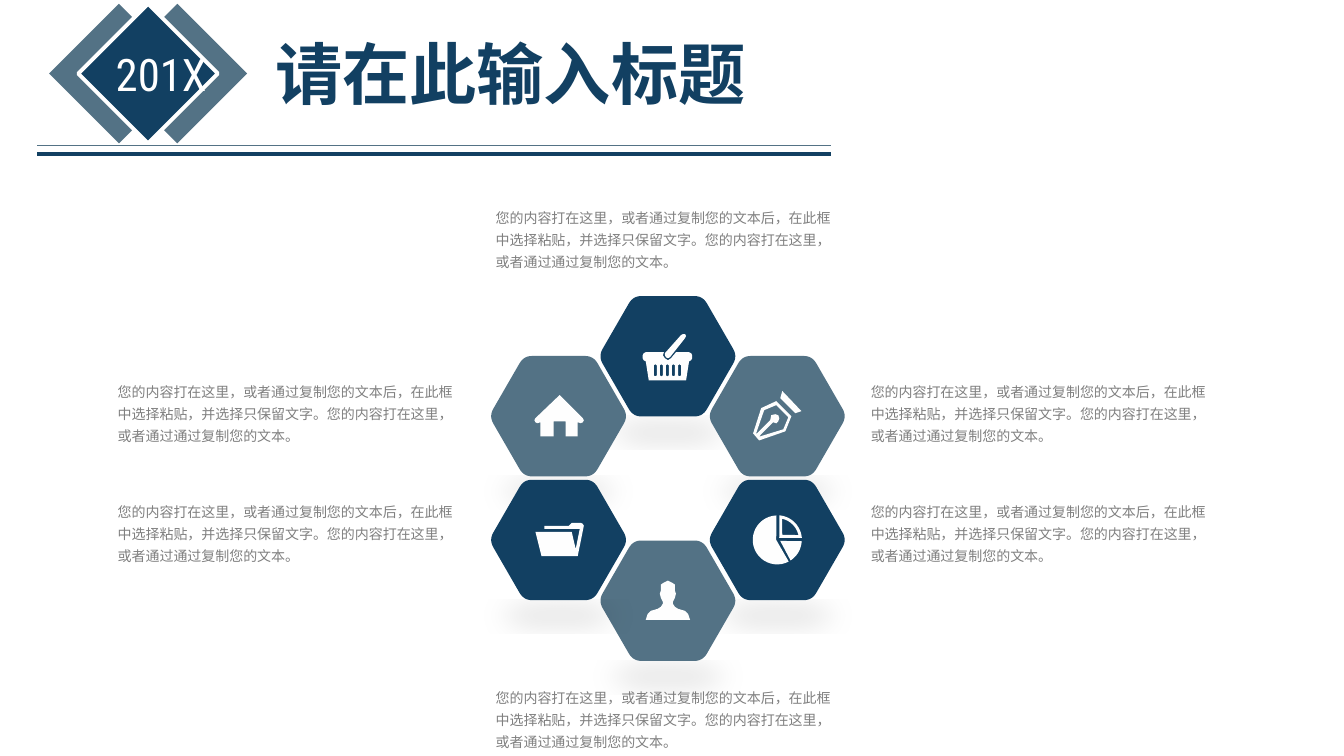
"""Build a slide with a ring of six icon hexagons and their captions."""
import math

import lxml.etree
import pptx
import pptx.dml.color
import pptx.enum.shapes
import pptx.enum.text
import pptx.oxml.ns
import pptx.util

NAVY, SLATE, GRAY, WHITE, ICON = "124062", "537285", "808080", "FFFFFF", "FEFEFE"
TITLE = "请在此输入标题"
YEAR = "201X"
CAPTION = ("您的内容打在这里，或者通过复制您的文本后，在此框中选择粘贴，并选择只保留文字。"
           "您的内容打在这里，或者通过通过复制您的文本。")
TITLE_FORMAT = {"size": pptx.util.Pt(48), "name": "Montserrat", "bold": True}
YEAR_FORMAT = {"size": pptx.util.Pt(32), "name": "Roboto Condensed"}
CAPTION_FORMAT = {"size": pptx.util.Pt(10), "name": "Roboto Condensed"}

CAPTION_SIZE = (260.6, 54.7)
CAPTION_PLACES = [(347, 142.6), (614.9, 267.1), (614.9, 352.8),
                  (347, 485.3), (77, 267.1), (77, 352.8)]
DIAMOND_TOP, DIAMOND_SIZE = 17.3, 70.5
DIAMONDS = [(91.4, SLATE, None), (49.7, SLATE, None), (70.5, NAVY, WHITE)]
RULE_LEFT, RULE_RIGHT = 26.6, 593.3

RING_CENTER, COLUMN_STEP = 477.1, 78.1
APOTHEM, CORNER, CORNER_STEPS = 43, 6, 8
ICON_UNIT, FINENESS = 0.72, 100


def arc(radius, start, end):
    """Return points along an arc around the icon centre."""
    angles = [math.radians(start + (end - start) * step / 24) for step in range(25)]
    return [(radius * math.cos(angle), radius * math.sin(angle)) for angle in angles]


BASKET = [
    [(0, 2), (-2, 1), (-3, -1), (-3, -3), (13, -21), (15, -22), (17, -22),
     (18, -20), (17, -18), (2, 1)],
    [(24, -1), (24, 2), (23, 4), (21, 5), (18, 24), (-19, 24), (-22, 5),
     (-24, 4), (-25, 2), (-25, -1), (-24, -3), (-22, -4), (-4, -4), (-5, -1),
     (-3, 2), (0, 4), (3, 2), (8, -4), (21, -4), (23, -3)],
] + [[(x, 9), (x + 1.5, 8), (x + 3, 9), (x + 3, 19), (x + 1.5, 20), (x, 19)]
     for x in range(-14, 11, 6)]
PEN = [
    [(5, -25), (24, -5), (18, -3), (3, -18)],
    [(14, 0), (-1, -15), (-16, -8), (-24, 17), (-18, 24), (8, 15)],
    [(-17, 20), (-18, 20), (-4, 6), (-1, 7), (1, 5), (2, 2), (1, -1), (-2, -2),
     (-6, -1), (-7, 4), (-20, 17), (-21, 17), (-13, -6), (-1, -11), (11, 1), (6, 13)],
]
HOUSE = [[(24, 6), (22, 7), (19, 6), (19, 20), (7, 20), (7, 5), (-5, 5), (-5, 20),
          (-18, 20), (-18, 6), (-21, 7), (-23, 6), (-24, 4), (-23, 2), (1, -21),
          (24, 2), (25, 4)]]
PIE = [
    [(-1, 0)] + arc(24.3, 62, 268),
    [(2, -2)] + arc(24.5, 275, 355),
    [(5, -5)] + arc(21.6, 283, 347),
    [(3, 1)] + arc(24.3, 3, 57),
]
PERSON_HALF = [(0, -20), (4, -18), (7, -16), (7, -10), (8, -7), (7, -3), (5, 1),
               (5, 3), (7, 6), (10, 8), (17, 10), (20, 13), (22, 19)]
PERSON = [PERSON_HALF + [(-x, y) for x, y in reversed(PERSON_HALF)]]
FOLDER = [[(22, -17), (13, -17), (10, -14), (-14, -14), (-14, -11), (21, -11), (17, 9),
           (13, -8), (-23, -8), (-17, 16), (19, 16), (25, -14), (24, -16)]]
HEXAGONS = [(0, 254.5, NAVY, BASKET), (1, 297.3, SLATE, PEN), (-1, 297.3, SLATE, HOUSE),
            (1, 385.7, NAVY, PIE), (0, 429.1, SLATE, PERSON), (-1, 385.7, NAVY, FOLDER)]


def color(value):
    """Turn a hex string into a colour."""
    return pptx.dml.color.RGBColor.from_string(value)


def points(*values):
    """Turn numbers into point lengths."""
    return [pptx.util.Pt(value) for value in values]


def write(shape, text, text_format, text_color, wrap):
    """Put formatted text into a shape and return its paragraph."""
    frame = shape.text_frame
    frame.word_wrap = wrap
    frame.vertical_anchor = pptx.enum.text.MSO_ANCHOR.TOP
    paragraph = frame.paragraphs[0]
    paragraph.alignment = pptx.enum.text.PP_ALIGN.LEFT
    run = paragraph.add_run()
    run.text = text
    for name, value in text_format.items():
        setattr(run.font, name, value)
    run.font.color.rgb = color(text_color)
    return paragraph


def paint(shape, fill, line=None):
    """Fill and outline a shape without a shadow."""
    shape.shadow.inherit = False
    shape.fill.solid()
    shape.fill.fore_color.rgb = color(fill)
    if line:
        shape.line.color.rgb = color(line)
        shape.line.width = pptx.util.Pt(2.75)
    else:
        shape.line.fill.background()


def add_rule(slide, y, line_color, width):
    """Draw a horizontal header rule."""
    rule = slide.shapes.add_connector(pptx.enum.shapes.MSO_CONNECTOR.STRAIGHT,
                                      *points(RULE_RIGHT, y, RULE_LEFT, y))
    rule.line.color.rgb = color(line_color)
    rule.line.width = pptx.util.Pt(width)
    lxml.etree.SubElement(rule.element.spPr, pptx.oxml.ns.qn("a:effectLst"))


def add_outline(slide, contours, center, unit, fill):
    """Draw closed contours around a centre as one freeform."""
    placed = [[tuple((base + value * unit) * FINENESS for base, value in zip(center, point))
               for point in contour] for contour in contours]
    builder = slide.shapes.build_freeform(*placed[0][0], scale=pptx.util.Pt(1) / FINENESS)
    for index, contour in enumerate(placed):
        if index:
            builder.move_to(*contour[0])
        builder.add_line_segments(contour[1:], close=True)
    shape = builder.convert_to_shape()
    paint(shape, fill)
    return shape


def rounded_hexagon():
    """Return the contour of a regular hexagon with rounded corners."""
    side = APOTHEM / math.cos(math.pi / 6)
    corners = [(side * math.cos(k * math.pi / 3), side * math.sin(k * math.pi / 3))
               for k in range(6)]
    share = CORNER / side
    contour = []
    for k, corner in enumerate(corners):
        before, after = corners[k - 1], corners[(k + 1) % 6]
        for step in range(CORNER_STEPS + 1):
            t = step / CORNER_STEPS
            contour.append(tuple(
                c + share * ((1 - t) ** 2 * (b - c) + t ** 2 * (a - c))
                for b, c, a in zip(before, corner, after)))
    return contour


def add_floor_shadow(shape):
    """Cast a soft flattened shadow below a shape."""
    effects = shape.element.spPr.find(pptx.oxml.ns.qn("a:effectLst"))
    shadow = lxml.etree.SubElement(
        effects, pptx.oxml.ns.qn("a:outerShdw"), blurRad=str(pptx.util.Pt(19)),
        dist=str(pptx.util.Pt(3)), dir="5400000", sx="90000", sy="-19000", rotWithShape="0")
    black = lxml.etree.SubElement(shadow, pptx.oxml.ns.qn("a:srgbClr"), val="000000")
    lxml.etree.SubElement(black, pptx.oxml.ns.qn("a:alpha"), val="10000")


def main():
    """Compose and save the slide."""
    presentation = pptx.Presentation()
    presentation.slide_width, presentation.slide_height = points(960, 540)
    slide = presentation.slides.add_slide(presentation.slide_layouts[5])
    title = slide.shapes.title
    title.left, title.top, title.width, title.height = points(189.4, 19.4, 355.7, 65.5)
    write(title, TITLE, TITLE_FORMAT, NAVY, False)

    add_rule(slide, 104, SLATE, 1)
    for left, fill, line in DIAMONDS:
        diamond = slide.shapes.add_shape(
            pptx.enum.shapes.MSO_SHAPE.ROUNDED_RECTANGLE,
            *points(left, DIAMOND_TOP, DIAMOND_SIZE, DIAMOND_SIZE))
        diamond.adjustments[0] = 0
        diamond.rotation = 45
        paint(diamond, fill, line)
    year = slide.shapes.add_textbox(*points(75.6, 29.5, 83.5, 46.1))
    write(year, YEAR, YEAR_FORMAT, WHITE, False)
    add_rule(slide, 110.2, NAVY, 3)

    for place in CAPTION_PLACES:
        caption = slide.shapes.add_textbox(*points(*place, *CAPTION_SIZE))
        write(caption, CAPTION, CAPTION_FORMAT, GRAY, True).line_spacing = 1.3

    hexagon = rounded_hexagon()
    for column, y, fill, icon in HEXAGONS:
        center = (RING_CENTER + column * COLUMN_STEP, y)
        add_floor_shadow(add_outline(slide, [hexagon], center, 1, fill))
        add_outline(slide, icon, center, ICON_UNIT, ICON)

    presentation.save("out.pptx")


if __name__ == "__main__":
    main()
